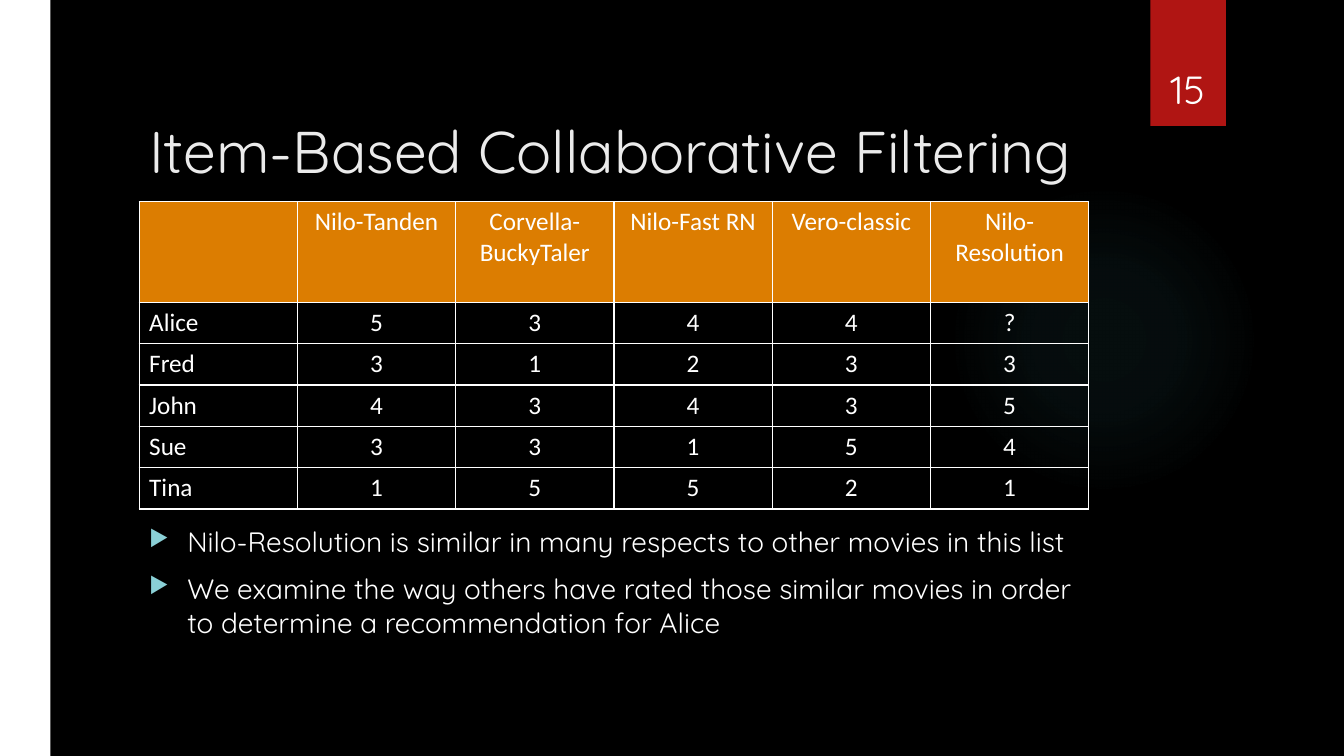
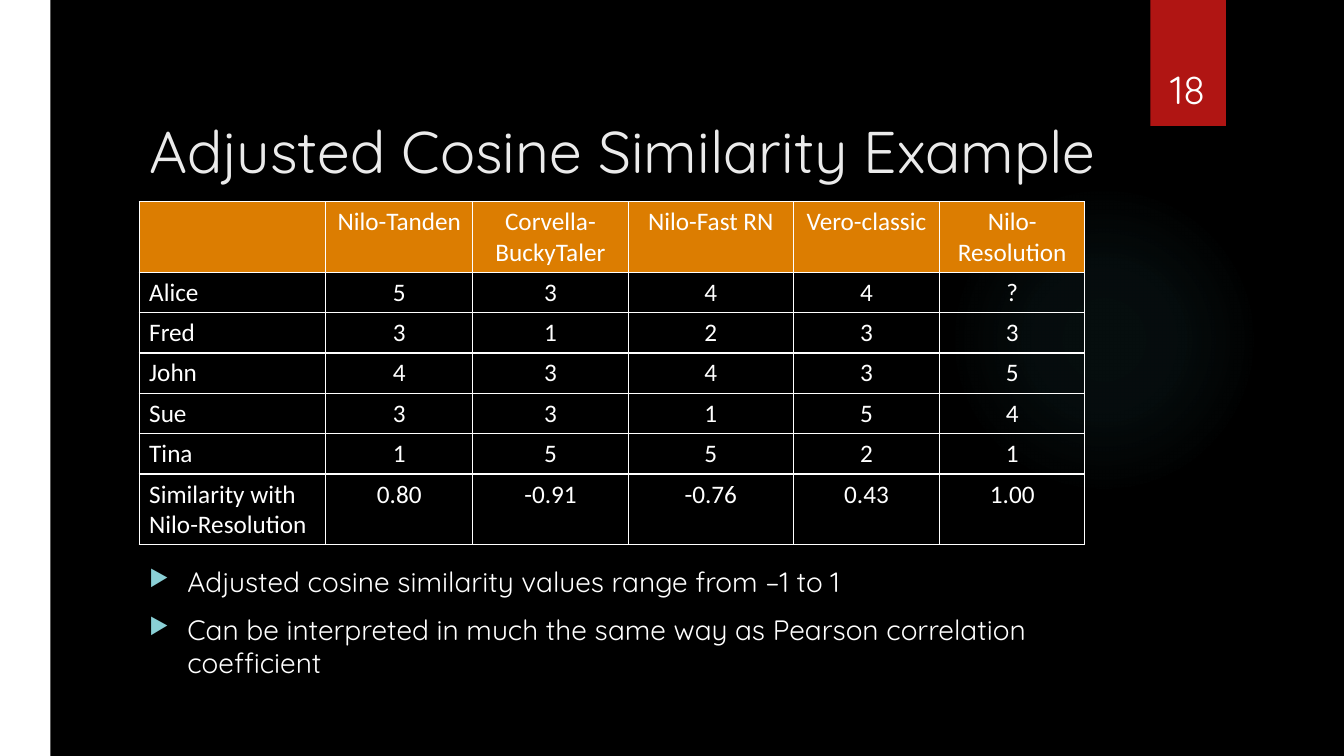
from dataclasses import dataclass

from lxml.etree import SubElement
from pptx import Presentation
from pptx.dml.color import RGBColor
from pptx.enum.shapes import MSO_SHAPE
from pptx.enum.text import MSO_ANCHOR, PP_ALIGN
from pptx.oxml import parse_xml
from pptx.oxml.ns import nsdecls, qn
from pptx.util import Inches, Pt


@dataclass(frozen=True)
class Theme:
    back: str = "000000"
    white: str = "FFFFFF"
    title: str = "EBEBEB"
    ribbon: str = "B01513"
    glow: str = "50B9C1"
    bullet: str = "8AD0D6"
    header: str = "DC7D01"
    font: str = "Quicksand"
    grid_font: str = "Calibri"
    title_size: int = 42
    page_size: int = 28
    body_size: int = 20
    grid_size: int = 18


THEME = Theme()
LEFT = 1.38
SHOES = ["", "Nilo-Tanden", "Corvella-BuckyTaler", "Nilo-Fast RN",
         "Vero-classic", "Nilo-Resolution"]
RATINGS = [
    SHOES,
    ["Alice", "5", "3", "4", "4", "?"],
    ["Fred", "3", "1", "2", "3", "3"],
    ["John", "4", "3", "4", "3", "5"],
    ["Sue", "3", "3", "1", "5", "4"],
    ["Tina", "1", "5", "5", "2", "1"],
]
SCORES = ["Similarity with Nilo-Resolution", "0.80", "-0.91", "-0.76", "0.43", "1.00"]


def color(code):
    return RGBColor.from_string(code)


def box(left, top, width, height):
    return [Inches(v) for v in (left, top, width, height)]


def write(para, text, size=THEME.body_size, font=THEME.font,
          fill=THEME.white, align=PP_ALIGN.LEFT):
    para.alignment = align
    run = para.add_run()
    run.text = text
    run.font.size = Pt(size)
    run.font.name = font
    run.font.color.rgb = color(fill)


def add_block(slide, kind, area, fill):
    shape = slide.shapes.add_shape(kind, *box(*area))
    shape.shadow.inherit = False
    shape.fill.solid()
    shape.fill.fore_color.rgb = color(fill)
    shape.line.fill.background()
    return shape


def add_glow(slide):
    shape = add_block(slide, MSO_SHAPE.OVAL, (9.41, 1.83, 3.08, 3.08), THEME.glow)
    stops = "".join(
        f'<a:gs pos="{pos * 1000}"><a:srgbClr val="{THEME.glow}">'
        f'<a:alpha val="{alpha * 1000}"/></a:srgbClr></a:gs>'
        for pos, alpha in ((0, 7), (36, 6), (69, 0)))
    props = shape.element.spPr
    solid = props.find(qn("a:solidFill"))
    props.replace(solid, parse_xml(
        f'<a:gradFill {nsdecls("a")}><a:gsLst>{stops}</a:gsLst><a:path path="circle">'
        '<a:fillToRect l="50000" t="50000" r="50000" b="50000"/></a:path></a:gradFill>'))


def add_ribbon(slide, page):
    shape = add_block(slide, MSO_SHAPE.RECTANGLE, (11.41, 0, 0.75, 1.25), THEME.ribbon)
    effects = shape.element.spPr.find(qn("a:effectLst"))
    effects.append(parse_xml(
        f'<a:outerShdw {nsdecls("a")} blurRad="{Pt(3)}" dist="{Pt(2)}" dir="5400000">'
        f'<a:srgbClr val="{THEME.back}"><a:alpha val="45000"/></a:srgbClr></a:outerShdw>'))
    frame = slide.shapes.add_textbox(*box(11.32, 0.32, 0.92, 0.84)).text_frame
    frame.word_wrap = True
    frame.vertical_anchor = MSO_ANCHOR.BOTTOM
    write(frame.paragraphs[0], page, size=THEME.page_size, align=PP_ALIGN.CENTER)


def set_title(slide, text):
    title = slide.shapes.title
    title.left, title.top, title.width, title.height = box(0.71, 0.5, 10.29, 1.53)
    frame = title.text_frame
    frame.word_wrap = True
    frame.vertical_anchor = MSO_ANCHOR.BOTTOM
    frame.margin_left = Inches(0.77)
    frame.margin_bottom = Inches(0.19)
    write(frame.paragraphs[0], text, size=THEME.title_size, fill=THEME.title)


def add_page(deck, title, page):
    slide = deck.slides.add_slide(deck.slide_layouts[5])
    add_glow(slide)
    add_ribbon(slide, page)
    add_block(slide, MSO_SHAPE.RECTANGLE, (0, 0, 0.5, 7.5), THEME.white)
    set_title(slide, title)
    return slide


def add_list(slide, area, items):
    frame = slide.shapes.add_textbox(*box(*area)).text_frame
    frame.word_wrap = True
    for index, item in enumerate(items):
        para = frame.add_paragraph() if index else frame.paragraphs[0]
        para.space_before = Pt(10)
        write(para, item)
        props = para._p.get_or_add_pPr()
        props.set("marL", str(Inches(0.38)))
        props.set("indent", str(Inches(-0.38)))
        tint = SubElement(props, qn("a:buClr"))
        SubElement(tint, qn("a:srgbClr"), val=THEME.bullet)
        SubElement(props, qn("a:buSzPct"), val="80000")
        SubElement(props, qn("a:buChar"), char="▶")


def add_border(cell):
    props = cell._tc.get_or_add_tcPr()
    for side in "LRTB":
        props.append(parse_xml(
            f'<a:ln{side} {nsdecls("a")} w="{Pt(1)}"><a:solidFill>'
            f'<a:srgbClr val="{THEME.white}"/></a:solidFill></a:ln{side}>'))


def add_grid(slide, rows, widths, heights):
    area = box(LEFT, 2, sum(widths), sum(heights))
    table = slide.shapes.add_table(len(rows), len(widths), *area).table
    table.first_row = table.horz_banding = False
    for column, width in zip(table.columns, widths):
        column.width = Inches(width)
    for row, height in zip(table.rows, heights):
        row.height = Inches(height)
    for r, row in enumerate(rows):
        for c, text in enumerate(row):
            cell = table.cell(r, c)
            add_border(cell)
            if r == 0:
                cell.fill.solid()
                cell.fill.fore_color.rgb = color(THEME.header)
            else:
                cell.fill.background()
            if text:
                write(cell.text_frame.paragraphs[0], text,
                      size=THEME.grid_size, font=THEME.grid_font,
                      align=PP_ALIGN.CENTER if c else PP_ALIGN.LEFT)


def main():
    deck = Presentation()
    deck.slide_width, deck.slide_height = Inches(13.33), Inches(7.5)
    back = deck.slide_master.background.fill
    back.solid()
    back.fore_color.rgb = color(THEME.back)

    slide = add_page(deck, "Item-Based Collaborative Filtering", "15")
    add_list(slide, (LEFT, 5.15, 9.54, 1.61), [
        "Nilo-Resolution is similar in many respects to other movies in this list",
        "We examine the way others have rated those similar movies in order "
        "to determine a recommendation for Alice",
    ])
    add_grid(slide, RATINGS, [1.57] * 6, [1] + [0.41] * 5)

    slide = add_page(deck, "Adjusted Cosine Similarity Example", "18")
    add_list(slide, (LEFT, 5.55, 9.4, 1.21), [
        "Adjusted cosine similarity values range from –1 to 1",
        "Can be interpreted in much the same way as Pearson correlation coefficient",
    ])
    add_grid(slide, RATINGS + [SCORES], [1.85, 1.46, 1.54, 1.64, 1.45, 1.44],
             [0.7] + [0.4] * 5 + [0.7])

    deck.save("out.pptx")


if __name__ == "__main__":
    main()
